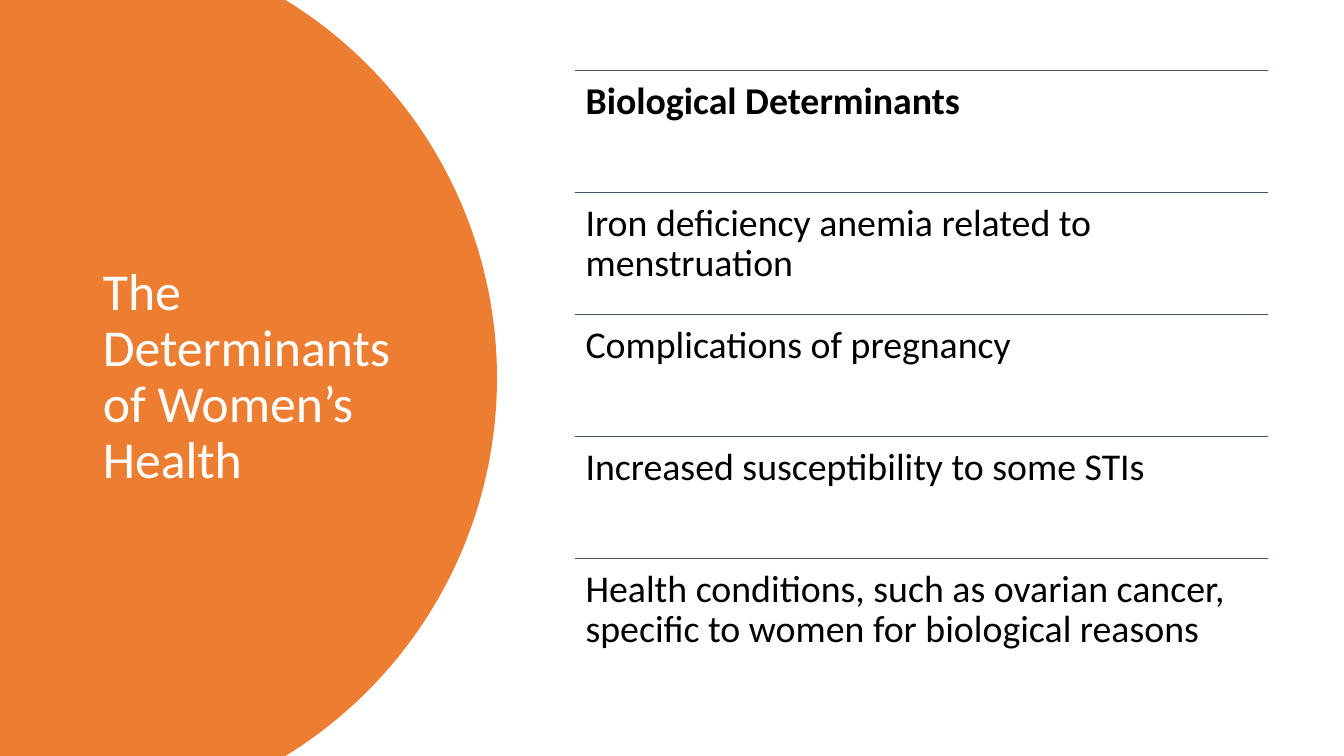
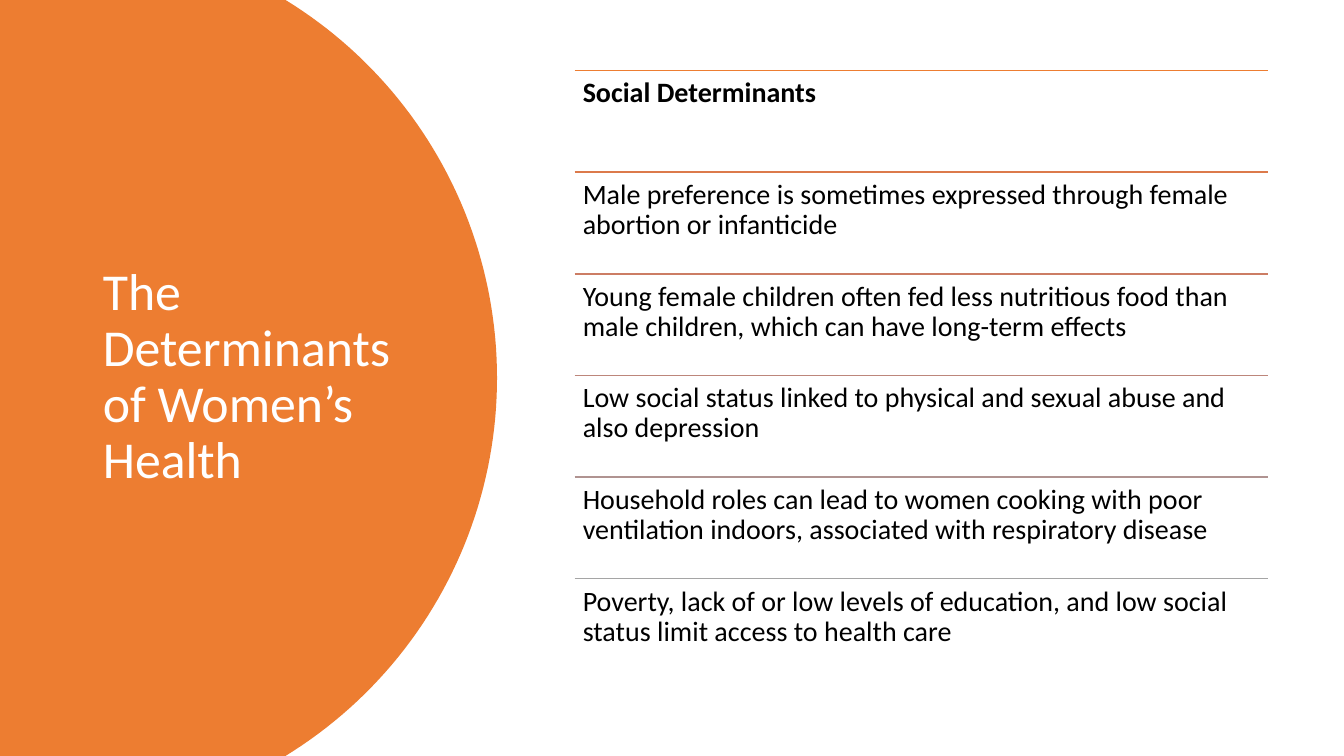
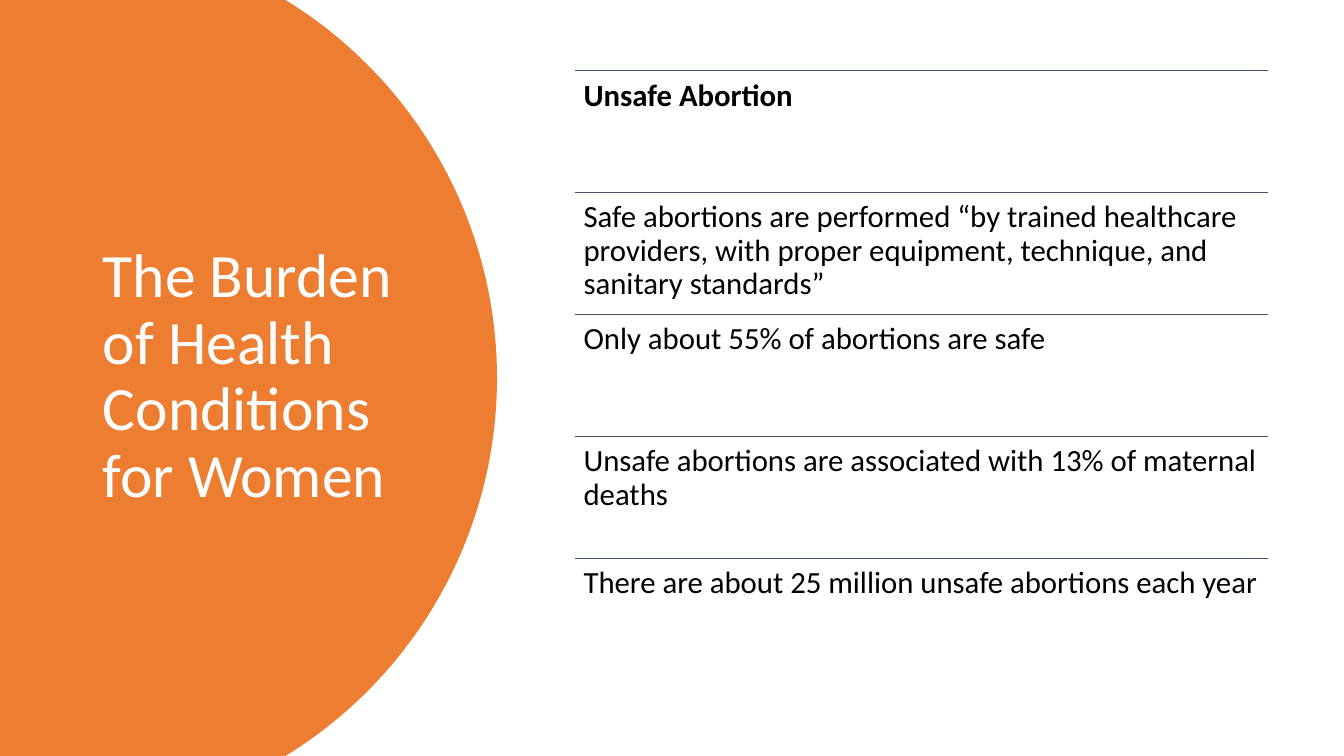
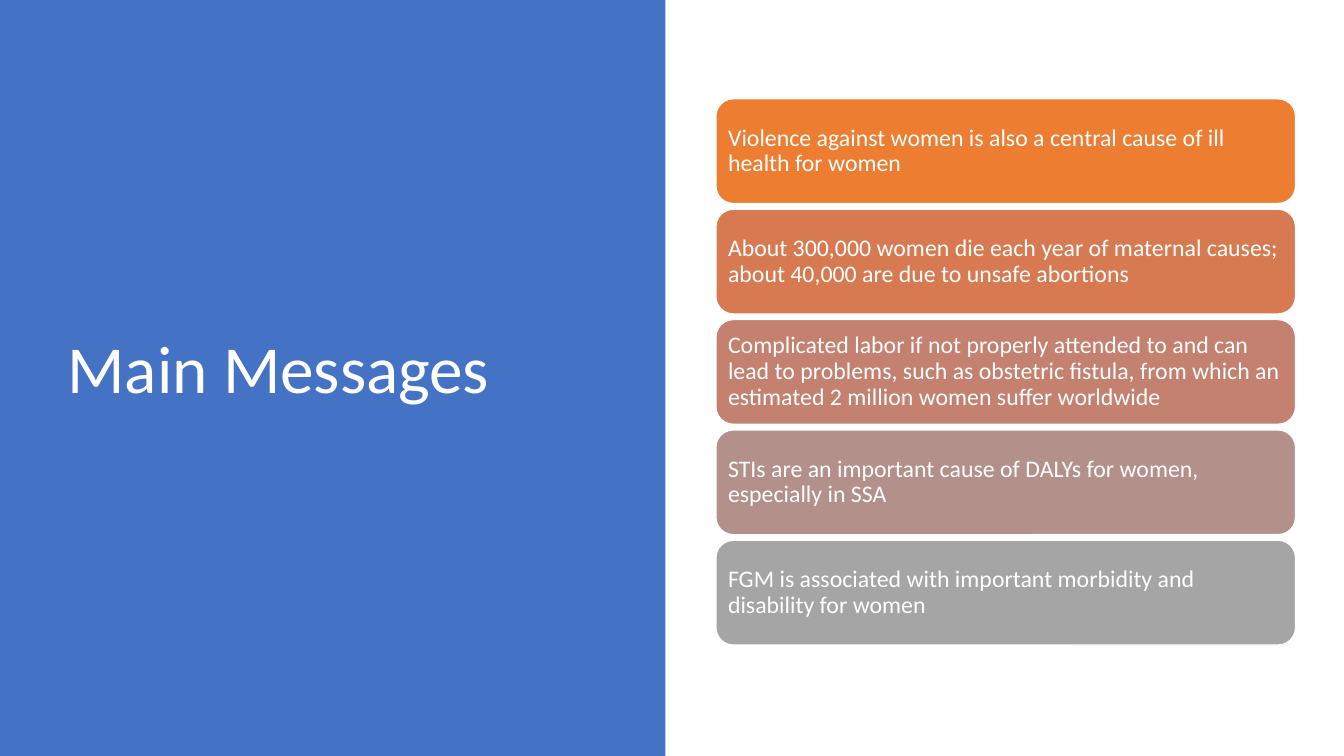
import math
from dataclasses import dataclass

from lxml import etree
from pptx import Presentation
from pptx import util as u
from pptx.dml.color import RGBColor
from pptx.enum import shapes, text
from pptx.oxml.ns import qn


@dataclass(frozen=True)
class Theme:
    font: str = "Calibri"
    white: str = "FFFFFF"
    black: str = "000000"
    orange: str = "ED7D31"
    blue: str = "4472C4"
    slate: str = "44546A"
    row_fade: tuple = ("ED7D31", "DC7A4B", "CC7D64", "BD867B", "B09391", "A5A5A5")
    card_fade: tuple = ("ED7D31", "D87A51", "C48170", "B4908B", "A5A5A5")
    long_title: int = 37
    title: int = 44
    big_title: int = 48
    card: int = 17


T = Theme()


def write(sp, words, size, color, bold=False, inset=0.1, box=None,
          anchor=text.MSO_ANCHOR.MIDDLE):
    """Put one left-aligned paragraph in a shape; box (inches) moves the shape."""
    if box:
        sp.left, sp.top, sp.width, sp.height = map(u.Inches, box)
    tf = sp.text_frame
    tf.word_wrap = True
    tf.auto_size = text.MSO_AUTO_SIZE.NONE
    tf.vertical_anchor = anchor
    tf.margin_left = tf.margin_right = u.Inches(inset)
    tf.margin_top = tf.margin_bottom = u.Inches(min(inset, 0.11))
    p = tf.paragraphs[0]
    p.alignment = text.PP_ALIGN.LEFT
    p.line_spacing = 0.9
    r = p.add_run()
    r.text = words
    r.font.name = T.font
    r.font.size = u.Pt(size)
    r.font.bold = bold
    r.font.color.rgb = RGBColor.from_string(color)


def paint(sp, fill, line=None):
    sp.shadow.inherit = False
    sp.fill.solid()
    sp.fill.fore_color.rgb = RGBColor.from_string(fill)
    if line:
        sp.line.color.rgb = RGBColor.from_string(line)
        sp.line.width = u.Pt(1)
    else:
        sp.line.fill.background()


prs = Presentation()
prs.slide_width, prs.slide_height = u.Inches(13.33), u.Inches(7.5)
title_only = prs.slide_layouts[5]

# Slides 1 to 3: round orange panel and ruled rows
ROW_LEFT, ROW_TOP, ROW_WIDTH, ROWS_HEIGHT = 5.7, 0.7, 6.88, 6.05
RADIUS, CENTER_X, CENTER_Y, ARC_STEPS = 4.4, 0.53, 3.75, 90
half_angle = math.asin(CENTER_Y / RADIUS)
angles = [half_angle * (2 * i / ARC_STEPS - 1) for i in range(ARC_STEPS + 1)]
arc = [(u.Inches(CENTER_X + RADIUS * math.cos(a)),
        u.Inches(CENTER_Y + RADIUS * math.sin(a))) for a in angles]

ruled_slides = [
    ("The Determinants of Women’s Health", T.long_title, 27, [T.slate] * 5, [
        "Biological Determinants",
        "Iron deficiency anemia related to menstruation",
        "Complications of pregnancy",
        "Increased susceptibility to some STIs",
        "Health conditions, such as ovarian cancer, specific to women for biological reasons",
    ]),
    ("The Determinants of Women’s Health", T.long_title, 20, T.row_fade, [
        "Social Determinants",
        "Male preference is sometimes expressed through female abortion or infanticide",
        "Young female children often fed less nutritious food than male children, "
        "which can have long-term effects",
        "Low social status linked to physical and sexual abuse and also depression",
        "Household roles can lead to women cooking with poor ventilation indoors, "
        "associated with respiratory disease",
        "Poverty, lack of or low levels of education, and low social status limit "
        "access to health care",
    ]),
    ("The Burden of Health Conditions for Women", T.title, 22, [T.slate] * 5, [
        "Unsafe Abortion",
        "Safe abortions are performed “by trained healthcare providers, with proper "
        "equipment, technique, and sanitary standards”",
        "Only about 55% of abortions are safe",
        "Unsafe abortions are associated with 13% of maternal deaths",
        "There are about 25 million unsafe abortions each year",
    ]),
]

for title, title_size, row_size, colors, rows in ruled_slides:
    s = prs.slides.add_slide(title_only)
    outline = s.shapes.build_freeform(0, 0)
    outline.add_line_segments(arc + [(0, prs.slide_height)])
    panel = outline.convert_to_shape()
    paint(panel, T.orange)
    s.shapes.title.element.addprevious(panel.element)
    write(s.shapes.title, title, title_size, T.white, box=(0.92, 0.7, 3.23, 6.09))

    pitch = ROWS_HEIGHT / len(rows)
    for i, (color, words) in enumerate(zip(colors, rows)):
        top = ROW_TOP + i * pitch
        rule = s.shapes.add_connector(
            shapes.MSO_CONNECTOR.STRAIGHT, u.Inches(ROW_LEFT), u.Inches(top),
            u.Inches(ROW_LEFT + ROW_WIDTH), u.Inches(top))
        rule.line.color.rgb = RGBColor.from_string(color)
        rule.line.width = u.Pt(1)
        etree.SubElement(rule.element.spPr, qn("a:effectLst"))
        row = s.shapes.add_textbox(u.Inches(ROW_LEFT), u.Inches(top),
                                   u.Inches(ROW_WIDTH), u.Inches(pitch))
        write(row, words, row_size, T.black, bold=i == 0, inset=row_size * 0.004,
              anchor=text.MSO_ANCHOR.TOP)

# Slide 4: blue panel and stacked cards
CARD_TOP, CARD_HEIGHT, CARD_GAP = 0.98, 1.04, 0.055
messages = [
    "Violence against women is also a central cause of ill health for women",
    "About 300,000 women die each year of maternal causes; about 40,000 are due to "
    "unsafe abortions",
    "Complicated labor if not properly attended to and can lead to problems, such as "
    "obstetric fistula, from which an estimated 2 million women suffer worldwide",
    "STIs are an important cause of DALYs for women, especially in SSA",
    "FGM is associated with important morbidity and disability for women",
]

s = prs.slides.add_slide(title_only)
panel = s.shapes.add_shape(shapes.MSO_SHAPE.RECTANGLE, 0, 0, u.Inches(6.6), prs.slide_height)
paint(panel, T.blue)
s.shapes.title.element.addprevious(panel.element)
write(s.shapes.title, "Main Messages", T.big_title, T.white, box=(0.57, 0.68, 5.67, 6.02))

for i, (color, words) in enumerate(zip(T.card_fade, messages)):
    card = s.shapes.add_shape(
        shapes.MSO_SHAPE.ROUNDED_RECTANGLE, u.Inches(7.1),
        u.Inches(CARD_TOP + i * (CARD_HEIGHT + CARD_GAP)),
        u.Inches(5.75), u.Inches(CARD_HEIGHT))
    paint(card, color, T.white)
    write(card, words, T.card, T.white, inset=0.07)

prs.save("out.pptx")
